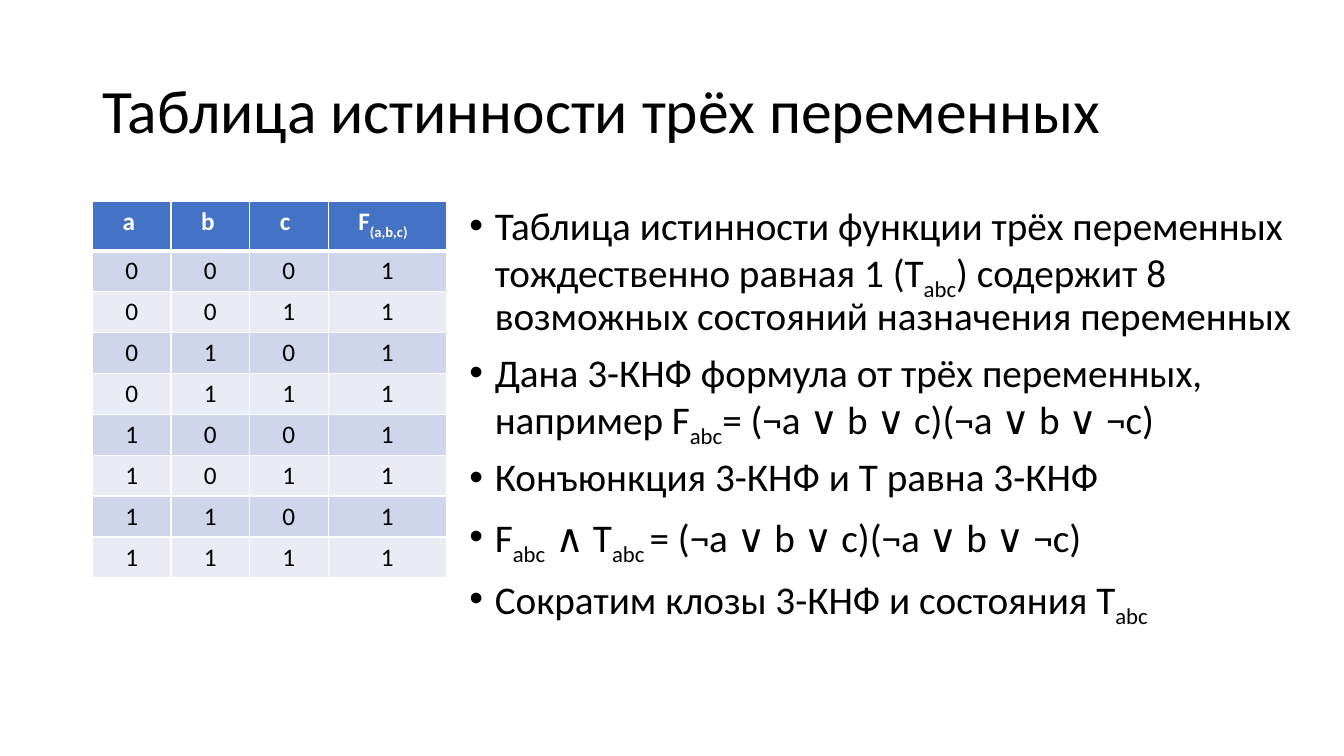
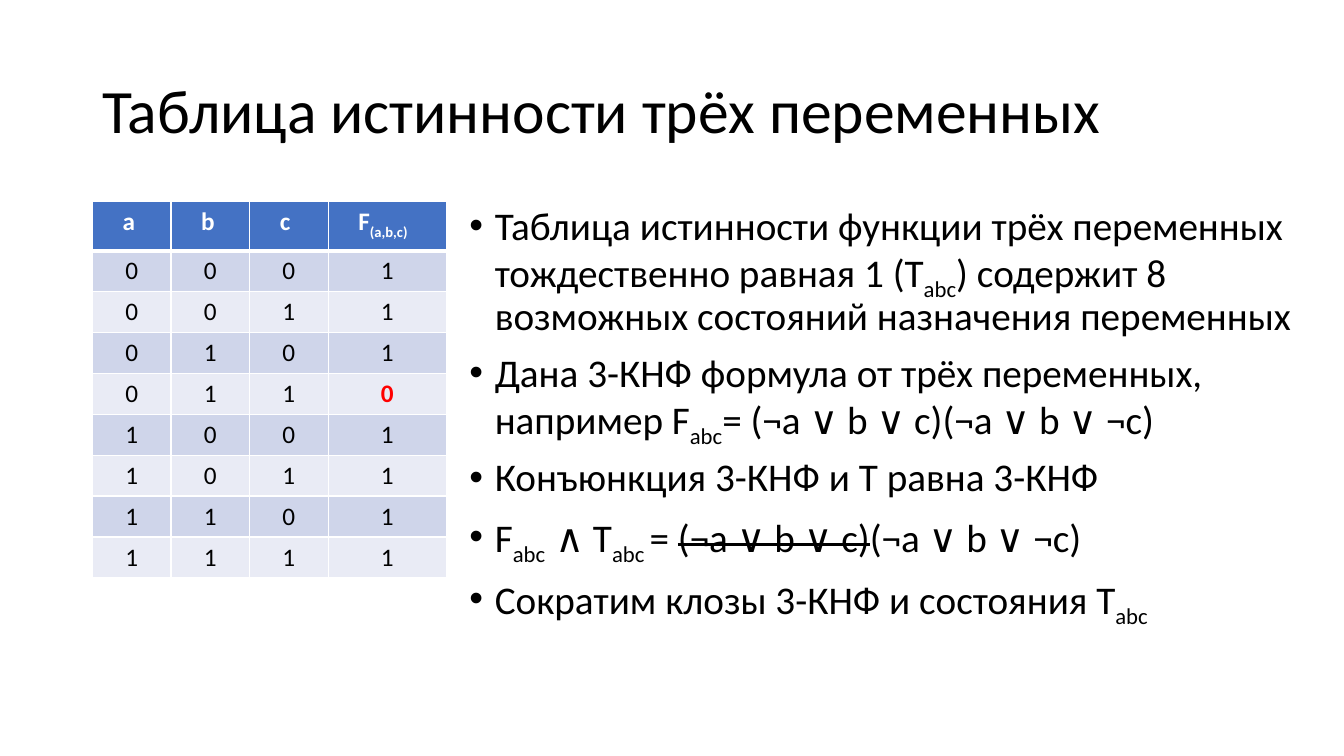
"""Builds two slides on truth tables of three variables."""
from dataclasses import dataclass
from itertools import product

from lxml.etree import SubElement
from pptx import Presentation
from pptx.dml.color import RGBColor
from pptx.enum.text import MSO_ANCHOR, PP_ALIGN
from pptx.oxml.ns import qn
from pptx.util import Cm, Pt


@dataclass(frozen=True)
class Theme:
    """Fonts, type sizes and colours shared by the slides."""
    font: str = "Calibri"
    bullet_font: str = "Arial"
    title_size: int = 44
    body_size: int = 28
    table_size: int = 18
    ink: str = "000000"
    paper: str = "FFFFFF"
    header: str = "4472C4"
    bands: tuple = ("CFD5EA", "E9EBF5")
    falsified: str = "FF0000"


@dataclass(frozen=True)
class Box:
    """Place and size of a region in centimetres."""
    left: float
    top: float
    width: float
    height: float

    def lengths(self):
        """Return the four values as lengths."""
        return Cm(self.left), Cm(self.top), Cm(self.width), Cm(self.height)


THEME = Theme()
TITLE_BOX = Box(2.33, 1.01, 29.21, 3.68)
TABLE_BOX = Box(2.33, 5.08, 8.92, 9.48)
BODY_BOX = Box(11.58, 5.08, 21.97, 13.61)

TITLE = "Таблица истинности трёх переменных"
CLAUSES = ("(¬a ∨ b ∨ c)", "(¬a ∨ b ∨ ¬c)")
SUBSCRIPT = {"baseline": -25}
STRUCK = {"struck": True}


def add_span(para, text, size=THEME.body_size, color=THEME.ink, bold=False,
             baseline=0, struck=False):
    """Add one formatted run to a paragraph."""
    span = para.add_run()
    span.text = text
    font = span.font
    font.name, font.size, font.bold = THEME.font, Pt(size), bold
    font.color.rgb = RGBColor.from_string(color)
    properties = font._element
    if baseline:
        properties.set("baseline", str(baseline * 1000))
    if struck:
        properties.set("strike", "sngStrike")


def add_spans(para, spans, **style):
    """Add runs given as plain text or as text paired with its format."""
    for item in spans:
        text, extra = (item, {}) if isinstance(item, str) else item
        add_span(para, text, **{**style, **extra})


def add_frame(page, box):
    """Add a wrapping text box and return its text frame."""
    frame = page.shapes.add_textbox(*box.lengths()).text_frame
    frame.word_wrap = True
    return frame


def add_title(page, box, text):
    """Place the slide title, centred vertically in its box."""
    frame = add_frame(page, box)
    frame.vertical_anchor = MSO_ANCHOR.MIDDLE
    para = frame.paragraphs[0]
    para.line_spacing = 0.9
    add_span(para, text, size=THEME.title_size)


def set_bullet(para):
    """Give a paragraph a hanging round bullet."""
    properties = para._p.get_or_add_pPr()
    properties.set("marL", str(Cm(0.64)))
    properties.set("indent", str(-Cm(0.64)))
    SubElement(properties, qn("a:buFont"), typeface=THEME.bullet_font)
    SubElement(properties, qn("a:buChar"), char="•")


def add_bullets(page, box, items):
    """Place a bulleted list."""
    frame = add_frame(page, box)
    for index, spans in enumerate(items):
        para = frame.add_paragraph() if index else frame.paragraphs[0]
        para.line_spacing, para.space_before = 0.9, Pt(10)
        set_bullet(para)
        add_spans(para, spans)


def style_cell(cell, fill, bottom_width):
    """Set the margins, white borders and fill of a table cell."""
    cell.margin_left = cell.margin_right = Cm(0.76)
    cell.margin_top = cell.margin_bottom = Cm(0.13)
    properties = cell._tc.get_or_add_tcPr()
    for side, width in zip("LRTB", (1, 1, 1, bottom_width)):
        line = SubElement(properties, qn(f"a:ln{side}"), w=str(Pt(width)))
        paint = SubElement(line, qn("a:solidFill"))
        SubElement(paint, qn("a:srgbClr"), val=THEME.paper)
    cell.fill.solid()
    cell.fill.fore_color.rgb = RGBColor.from_string(fill)


def add_truth_table(page, box, false_states):
    """Place the table of all states, marking those where F is 0."""
    states = list(product((0, 1), repeat=3))
    table = page.shapes.add_table(len(states) + 1, 4, *box.lengths()).table
    state_width, row_height = 1.98, 1.03
    for column in table.columns:
        column.width = Cm(state_width)
    table.columns[3].width = Cm(box.width - 3 * state_width)
    for row in table.rows:
        row.height = Cm(row_height)
    table.rows[0].height = Cm(box.height - len(states) * row_height)

    headings = (["a"], ["b"], ["c"], ["F", ("(a,b,c)", SUBSCRIPT)])
    for column, spans in enumerate(headings):
        cell = table.cell(0, column)
        style_cell(cell, THEME.header, 3)
        add_spans(cell.text_frame.paragraphs[0], spans,
                  size=THEME.table_size, color=THEME.paper, bold=True)
    for row, state in enumerate(states, 1):
        falsified = state in false_states
        for column, value in enumerate((*state, int(not falsified))):
            cell = table.cell(row, column)
            style_cell(cell, THEME.bands[(row - 1) % 2], 1)
            marked = falsified and column == 3
            para = cell.text_frame.paragraphs[0]
            para.alignment = PP_ALIGN.CENTER
            add_span(para, str(value), size=THEME.table_size, bold=marked,
                     color=THEME.falsified if marked else THEME.ink)


def explanation(struck_clauses):
    """Return the bullet texts, with the given clauses struck out."""
    abc = ("abc", SUBSCRIPT)
    clauses = [(clause, STRUCK if clause in struck_clauses else {})
               for clause in CLAUSES]
    return [
        ["Таблица истинности функции трёх переменных тождественно равная 1 (T",
         abc, ") содержит 8 возможных состояний назначения переменных"],
        ["Дана 3-КНФ формула от трёх переменных, например F", abc,
         "= " + "".join(CLAUSES)],
        ["Конъюнкция 3-КНФ и T равна 3-КНФ"],
        ["F", ("abc  ", SUBSCRIPT), "∧ T", ("abc ", SUBSCRIPT), "= ", *clauses],
        ["Сократим клозы 3-КНФ и состояния T", abc],
    ]


def add_truth_slide(deck, false_states=(), struck_clauses=()):
    """Add a slide with a title, a truth table and its explanation."""
    page = deck.slides.add_slide(deck.slide_layouts[6])
    add_title(page, TITLE_BOX, TITLE)
    add_truth_table(page, TABLE_BOX, false_states)
    add_bullets(page, BODY_BOX, explanation(struck_clauses))


def main():
    """Build and save the deck."""
    deck = Presentation()
    deck.slide_width, deck.slide_height = Cm(33.87), Cm(19.05)
    add_truth_slide(deck)
    add_truth_slide(deck, false_states=[(0, 1, 1)], struck_clauses=CLAUSES[:1])
    deck.save("out.pptx")


if __name__ == "__main__":
    main()
